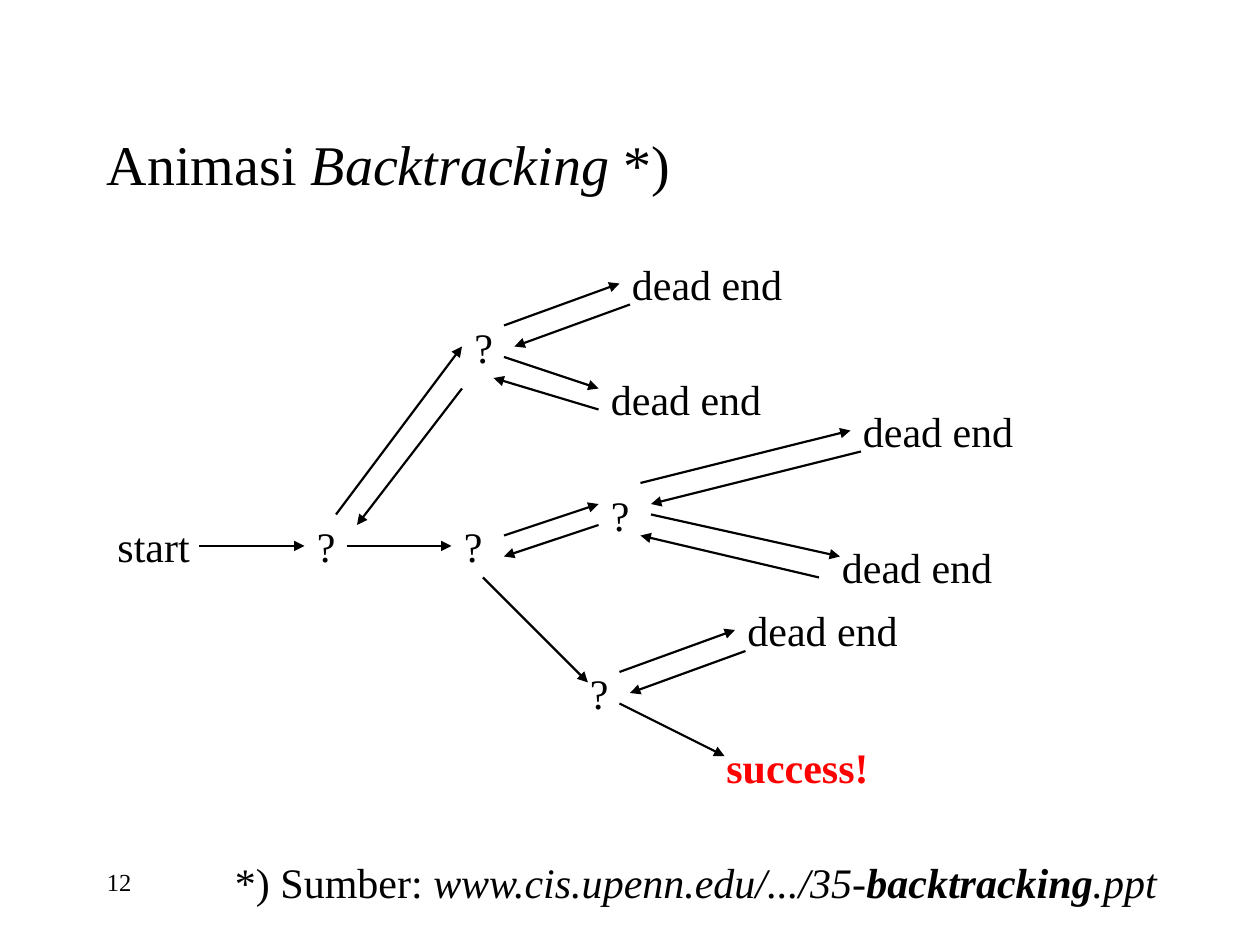
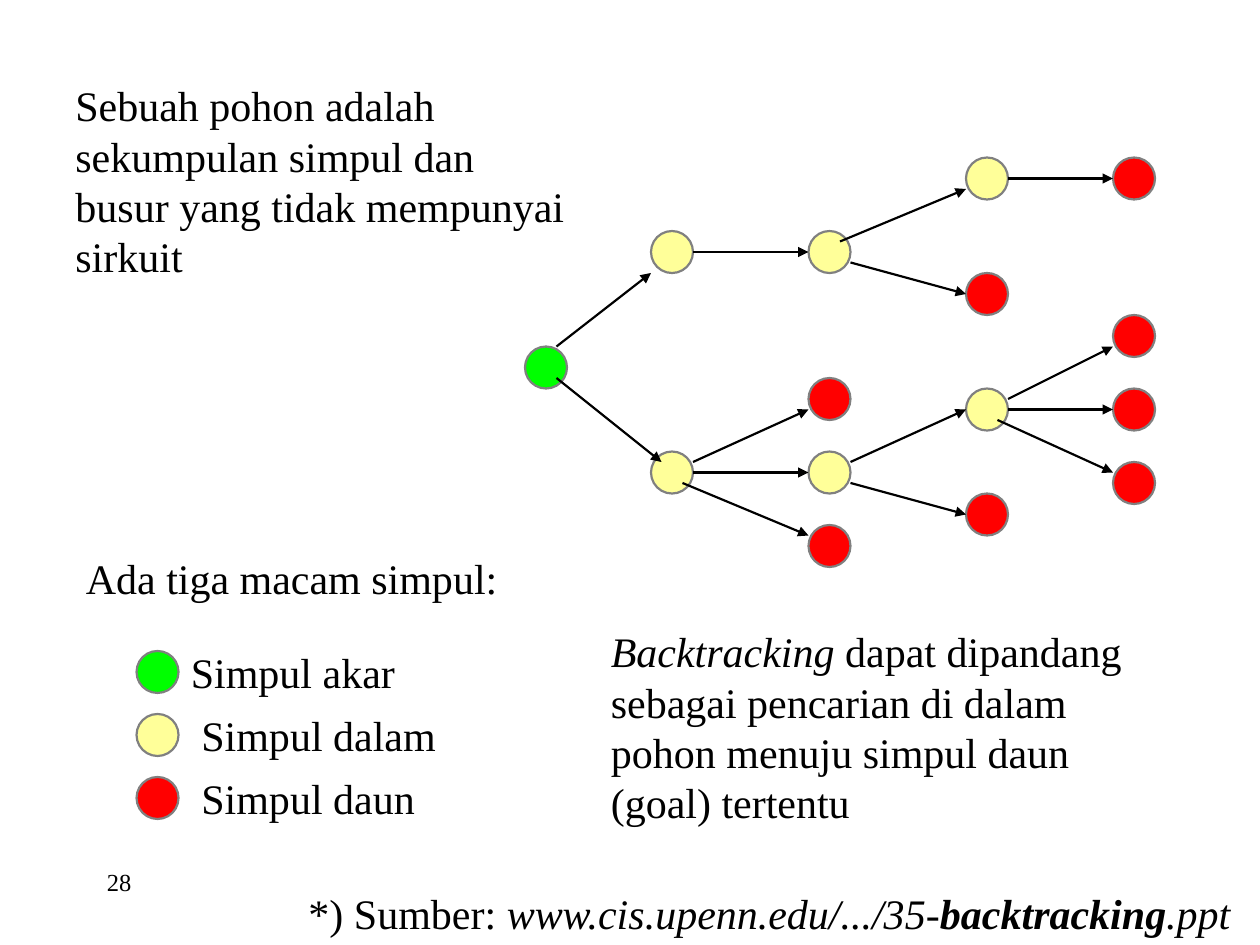
from dataclasses import dataclass

from lxml import etree
from pptx import Presentation
from pptx.dml.color import RGBColor
from pptx.enum.shapes import MSO_CONNECTOR as Connector
from pptx.enum.shapes import MSO_SHAPE as Shape
from pptx.enum.text import MSO_ANCHOR as Anchor
from pptx.oxml.ns import qn
from pptx.util import Cm, Pt


@dataclass(frozen=True)
class Theme:
    font: str = "Times New Roman"
    ink: RGBColor = RGBColor(0, 0, 0)
    outline: RGBColor = RGBColor(0x80, 0x80, 0x80)
    root: RGBColor = RGBColor(0, 0xFF, 0)
    inner: RGBColor = RGBColor(0xFF, 0xFF, 0x99)
    leaf: RGBColor = RGBColor(0xFF, 0, 0)
    title_size: int = 32
    body_size: int = 24
    number_size: int = 14
    leading: float = 1.2
    stroke: float = 1.25


THEME = Theme()
NODE_SIZE = 4
LABEL_HEIGHT = 6

# Span styles: (italic, bold)
PLAIN, ITALIC, BOLD_ITALIC = (False, False), (True, False), (True, True)
SOURCE = [("*) Sumber: ", PLAIN), ("www.cis.upenn.edu/.../35-", ITALIC),
          ("backtracking", BOLD_ITALIC), (".ppt", ITALIC)]


def grid(steps):
    """Every position lies on a grid of twelve steps to 2.54 cm."""
    return Cm(2.54 * steps / 12)


# Elements
def add_text(page, spans, left, top, width, height=LABEL_HEIGHT,
             size=THEME.body_size, color=THEME.ink, bold=False, anchor=Anchor.TOP):
    box = page.shapes.add_textbox(*map(grid, (left, top, width, height)))
    frame = box.text_frame
    frame.word_wrap = True
    frame.vertical_anchor = anchor
    para = frame.paragraphs[0]
    para.line_spacing = Pt(size * THEME.leading)
    para.font.name = THEME.font
    para.font.size = Pt(size)
    para.font.color.rgb = color
    if isinstance(spans, str):
        para.font.bold = bold
        para.add_run().text = spans
        return
    for text, (italic, heavy) in spans:
        span = para.add_run()
        span.text = text
        span.font.italic = italic
        span.font.bold = heavy


def add_arrow(page, x1, y1, x2, y2):
    arrow = page.shapes.add_connector(Connector.STRAIGHT, *map(grid, (x1, y1, x2, y2)))
    arrow.line.color.rgb = THEME.ink
    arrow.line.width = Pt(THEME.stroke)
    etree.SubElement(arrow.line._get_or_add_ln(), qn("a:tailEnd"), type="triangle")
    etree.SubElement(arrow._element.spPr, qn("a:effectLst"))


def add_node(page, left, top, color):
    node = page.shapes.add_shape(
        Shape.OVAL, *map(grid, (left, top, NODE_SIZE, NODE_SIZE)))
    node.shadow.inherit = False
    node.fill.solid()
    node.fill.fore_color.rgb = color
    node.line.color.rgb = THEME.outline
    node.line.width = Pt(THEME.stroke)


def add_page(deck, number, source_left, source_top):
    page = deck.slides.add_slide(deck.slide_layouts[6])
    add_text(page, str(number), 9, 82, 25, size=THEME.number_size)
    add_text(page, SOURCE, source_left, source_top, 91.5)
    return page


# Slides
def build_animation(deck):
    page = add_page(deck, 12, 21.2, 81)
    add_text(page, [("Animasi ", PLAIN), ("Backtracking ", ITALIC), ("*)", PLAIN)],
             9, 8, 102, 15, THEME.title_size, anchor=Anchor.MIDDLE)

    # Choices and outcomes
    add_text(page, "start", 10, 49, 10)
    for left, top in [(29, 49), (44, 30), (43, 49), (57, 46), (55, 63)]:
        add_text(page, "?", left, top, 6)
    for left, top in [(59, 24), (57, 35), (81, 38), (79, 51), (70, 57)]:
        add_text(page, "dead end", left, top, 21)
    add_text(page, "success!", 68, 70, 21, color=THEME.leaf, bold=True)

    # Steps forward
    forward = [(19, 52, 29, 52), (32, 49, 44, 33), (33, 52, 43, 52),
               (48, 31, 59, 27), (48, 34, 57, 37), (48, 51, 57, 48),
               (61, 46, 81, 41), (62, 49, 80, 53), (46, 55, 56, 65),
               (59, 64, 70, 60), (59, 67, 69, 72)]
    # Steps back from dead ends
    back = [(60, 29, 49, 33), (57, 39, 47, 36), (44, 37, 34, 50),
            (82, 43, 62, 48), (78, 55, 61, 51), (57, 50, 48, 53),
            (71, 62, 60, 66)]
    for ends in forward + back:
        add_arrow(page, *ends)


def build_tree(deck):
    page = add_page(deck, 28, 28.2, 83.9)

    # Tree nodes
    nodes = {
        THEME.root: [(50, 33)],
        THEME.inner: [(62, 22), (77, 22), (92, 15), (62, 43), (77, 43), (92, 37)],
        THEME.leaf: [(106, 15), (92, 26), (77, 36), (77, 50), (92, 47),
                     (106, 30), (106, 37), (106, 44)],
    }
    for color, places in nodes.items():
        for left, top in places:
            add_node(page, left, top, color)

    # Tree edges
    edges = [(53, 36, 63, 44), (53, 33, 62, 26), (66, 24, 77, 24),
             (80, 23, 92, 18), (81, 25, 92, 28), (96, 17, 106, 17),
             (66, 44, 77, 39), (66, 45, 77, 45), (65, 46, 77, 51),
             (81, 44, 92, 39), (81, 46, 92, 49), (96, 38, 106, 33),
             (96, 39, 106, 39), (95, 40, 106, 45)]
    for ends in edges:
        add_arrow(page, *ends)

    # Explanations
    add_text(page, "Sebuah pohon adalah sekumpulan simpul dan busur yang tidak "
                   "mempunyai sirkuit", 6, 7, 50, 28)
    add_text(page, [("Backtracking", ITALIC),
                    (" dapat dipandang sebagai pencarian di dalam pohon menuju "
                     "simpul daun (goal) tertentu", PLAIN)], 57, 59, 53, 20)

    # Legend
    add_text(page, "Ada tiga macam simpul:", 7, 52, 42)
    legend = [("Simpul akar", THEME.root, 17), ("Simpul dalam", THEME.inner, 18),
              ("Simpul daun", THEME.leaf, 18)]
    for row, (label, color, left) in enumerate(legend):
        top = 61 + row * LABEL_HEIGHT
        add_node(page, 13, top + 1, color)
        add_text(page, label, left, top, 31)


def main():
    deck = Presentation()
    deck.slide_width, deck.slide_height = Cm(25.4), Cm(19.05)
    build_animation(deck)
    build_tree(deck)
    deck.save("out.pptx")


if __name__ == "__main__":
    main()
